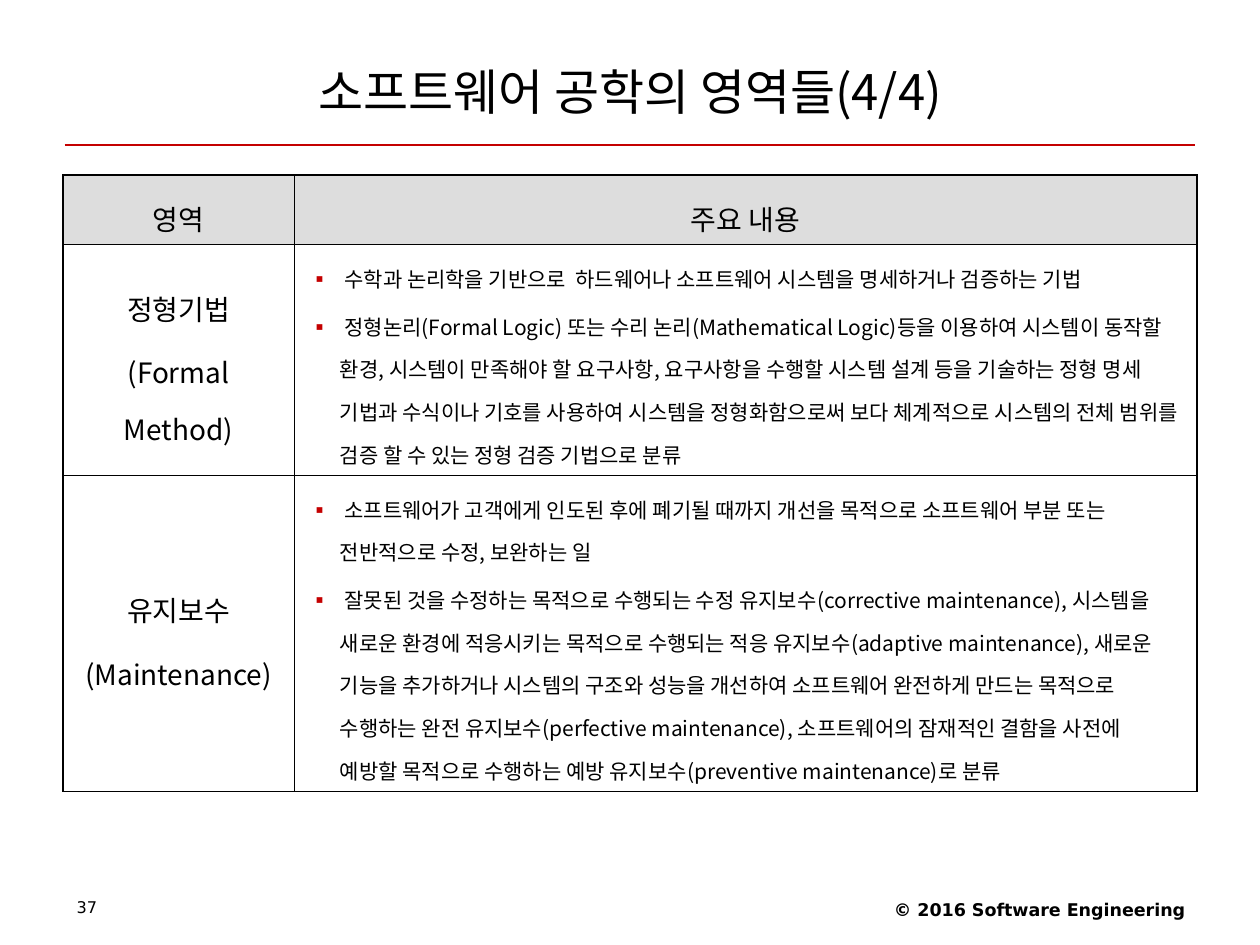
from dataclasses import dataclass

from lxml.etree import SubElement
from pptx import Presentation
from pptx.dml.color import RGBColor
from pptx.enum.shapes import MSO_CONNECTOR as Connector
from pptx.enum.text import MSO_ANCHOR as Anchor, PP_ALIGN as Align
from pptx.oxml import parse_xml
from pptx.oxml.ns import nsdecls, qn
from pptx.util import Pt


@dataclass(frozen=True)
class Theme:
    ink: str = "000000"
    accent: str = "C40000"
    header: str = "DDDDDD"
    body_font: str = "Noto Sans CJK KR"
    footer_font: str = "DejaVu Sans"
    title_size: float = 28
    area_size: float = 16
    detail_size: float = 12
    copyright_size: float = 10
    number_size: float = 9.2
    outer_line: float = 1.08
    inner_line: float = 0.45
    rule_line: float = 0.75
    bullet_margin: float = 17.6
    bullet_hanging: float = 21.4


THEME = Theme()
HEADINGS = ["영역", "주요 내용"]
AREAS = [
    (["정형기법", "(Formal Method)"], [
        " 수학과 논리학을 기반으로  하드웨어나 소프트웨어 시스템을 명세하거나 검증하는 기법",
        " 정형논리(Formal Logic) 또는 수리 논리(Mathematical Logic)등을 이용하여 시스템이 "
        "동작할 환경, 시스템이 만족해야 할 요구사항, 요구사항을 수행할 시스템 설계 등을 기술하는 "
        "정형 명세 기법과 수식이나 기호를 사용하여 시스템을 정형화함으로써 보다 체계적으로 시스템의 "
        "전체 범위를 검증 할 수 있는 정형 검증 기법으로 분류",
    ]),
    (["유지보수", "(Maintenance)"], [
        " 소프트웨어가 고객에게 인도된 후에 폐기될 때까지 개선을 목적으로 소프트웨어 부분 또는 "
        "전반적으로 수정, 보완하는 일",
        " 잘못된 것을 수정하는 목적으로 수행되는 수정 유지보수(corrective maintenance), 시스템을 "
        "새로운 환경에 적응시키는 목적으로 수행되는 적응 유지보수(adaptive maintenance), 새로운 "
        "기능을 추가하거나 시스템의 구조와 성능을 개선하여 소프트웨어 완전하게 만드는 목적으로 "
        "수행하는 완전 유지보수(perfective maintenance), 소프트웨어의 잠재적인 결함을 사전에 "
        "예방할 목적으로 수행하는 예방 유지보수(preventive maintenance)로 분류",
    ]),
]


def write_text(frame, lines, size, font=THEME.body_font, color=THEME.ink, bold=False,
               align=Align.LEFT, spacing=None, before=0, bullet=None):
    for index, line in enumerate(lines):
        para = frame.add_paragraph() if index else frame.paragraphs[0]
        para.alignment = align
        para.space_before = Pt(before)
        if spacing:
            para.line_spacing = spacing
        if bullet:
            properties = para._p.get_or_add_pPr()
            properties.set("marL", str(Pt(THEME.bullet_margin)))
            properties.set("indent", str(-Pt(THEME.bullet_hanging)))
            bullet_color = SubElement(properties, qn("a:buClr"))
            SubElement(bullet_color, qn("a:srgbClr"), val=THEME.accent)
            SubElement(properties, qn("a:buFont"), typeface=font)
            SubElement(properties, qn("a:buChar"), char=bullet)
        span = para.add_run()
        span.text = line
        span.font.size = Pt(size)
        span.font.bold = bold
        span.font.name = font
        span.font.color.rgb = RGBColor.from_string(color)
        span.font._element.set("kern", "0")
        SubElement(span.font._element, qn("a:ea"), typeface=font)


class SlideBuilder:
    """Draws styled elements on one slide, with lengths in points."""

    def __init__(self, page, theme):
        self.page = page
        self.theme = theme

    def rule(self, left, right, y):
        line = self.page.shapes.add_connector(
            Connector.STRAIGHT, Pt(left), Pt(y), Pt(right), Pt(y))
        line.line.color.rgb = RGBColor.from_string(self.theme.accent)
        line.line.width = Pt(self.theme.rule_line)
        SubElement(line._element.spPr, qn("a:effectLst"))

    def text(self, content, left, top, width, height, anchor=Anchor.TOP, **style):
        box = self.page.shapes.add_textbox(Pt(left), Pt(top), Pt(width), Pt(height))
        box.text_frame.word_wrap = True
        box.text_frame.vertical_anchor = anchor
        write_text(box.text_frame, [content], **style)

    def borders(self, cell, outer_sides):
        properties = cell._tc.get_or_add_tcPr()
        for index, side in enumerate("LRTB"):
            width = self.theme.outer_line if side in outer_sides else self.theme.inner_line
            properties.insert(index, parse_xml(
                f'<a:ln{side} {nsdecls("a")} w="{Pt(width)}"><a:solidFill>'
                f'<a:srgbClr val="{self.theme.ink}"/></a:solidFill></a:ln{side}>'))

    def table(self, left, top, widths, heights, headings, areas):
        theme = self.theme
        grid = self.page.shapes.add_table(
            len(heights), len(widths), Pt(left), Pt(top),
            Pt(sum(widths)), Pt(sum(heights))).table
        grid.first_row = grid.horz_banding = False
        for column, width in zip(grid.columns, widths):
            column.width = Pt(width)
        for row, height in zip(grid.rows, heights):
            row.height = Pt(height)

        rows = [[[heading] for heading in headings], *areas]
        for row_index, row in enumerate(rows):
            for column_index, lines in enumerate(row):
                cell = grid.cell(row_index, column_index)
                cell.vertical_anchor = Anchor.MIDDLE
                cell.margin_left = cell.margin_right = Pt(8.64)
                cell.margin_top = cell.margin_bottom = Pt(3.6)
                if row_index == 0:
                    cell.fill.solid()
                    cell.fill.fore_color.rgb = RGBColor.from_string(theme.header)
                else:
                    cell.fill.background()
                outer_sides = "LR"[column_index]
                outer_sides += {0: "T", len(rows) - 1: "B"}.get(row_index, "")
                self.borders(cell, outer_sides)
                if row_index and column_index:
                    style = dict(size=theme.detail_size, before=3, bullet="▪")
                else:
                    style = dict(size=theme.area_size, before=4, align=Align.CENTER)
                write_text(cell.text_frame, lines, spacing=1.4, **style)


def main():
    deck = Presentation()
    deck.slide_width, deck.slide_height = Pt(720), Pt(540)
    page = deck.slides.add_slide(deck.slide_layouts[6])
    builder = SlideBuilder(page, THEME)
    builder.rule(37, 683, 82.8)
    builder.text("© 2016 Software Engineering", 456, 510.2, 228.24, 20.88,
                 size=THEME.copyright_size, font=THEME.footer_font, bold=True,
                 align=Align.RIGHT)
    builder.text("37", 36.72, 510.48, 167.76, 20.16, size=THEME.number_size,
                 font=THEME.footer_font, spacing=0.9)
    builder.text("소프트웨어 공학의 영역들(4/4)", 36, 21.6, 648, 61.2,
                 anchor=Anchor.MIDDLE, size=THEME.title_size, align=Align.CENTER)
    builder.table(36, 100.08, [132, 516], [39.6, 132, 180.6], HEADINGS, AREAS)
    deck.save("out.pptx")


if __name__ == "__main__":
    main()
